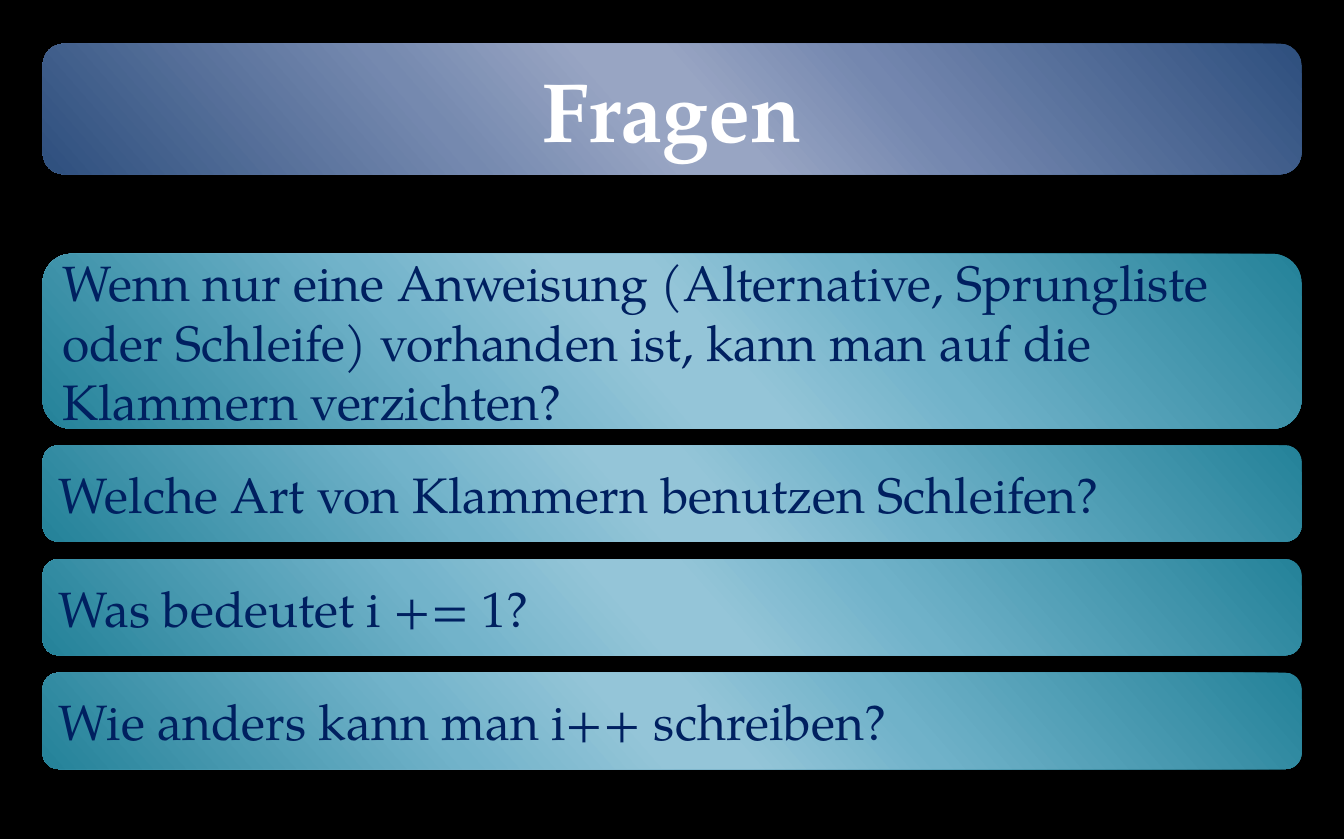
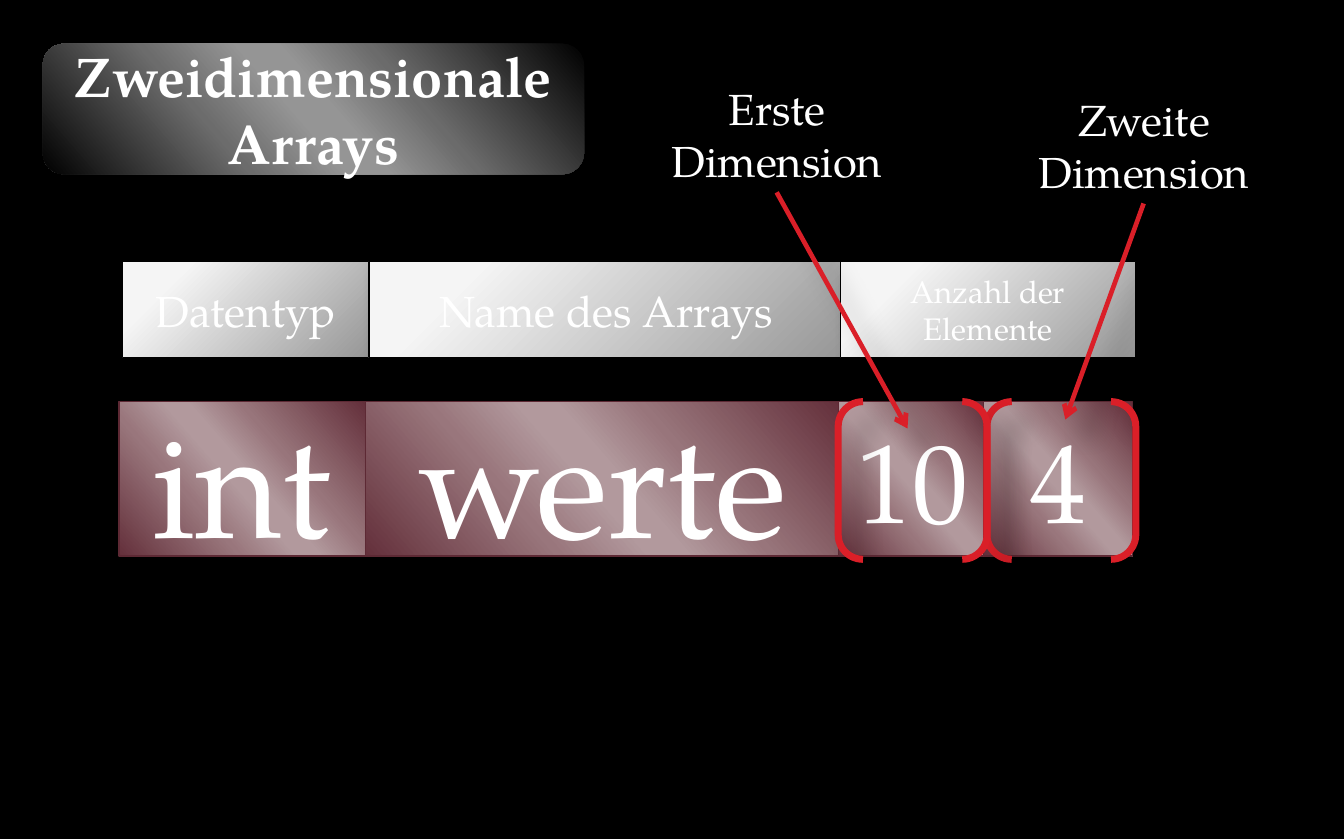
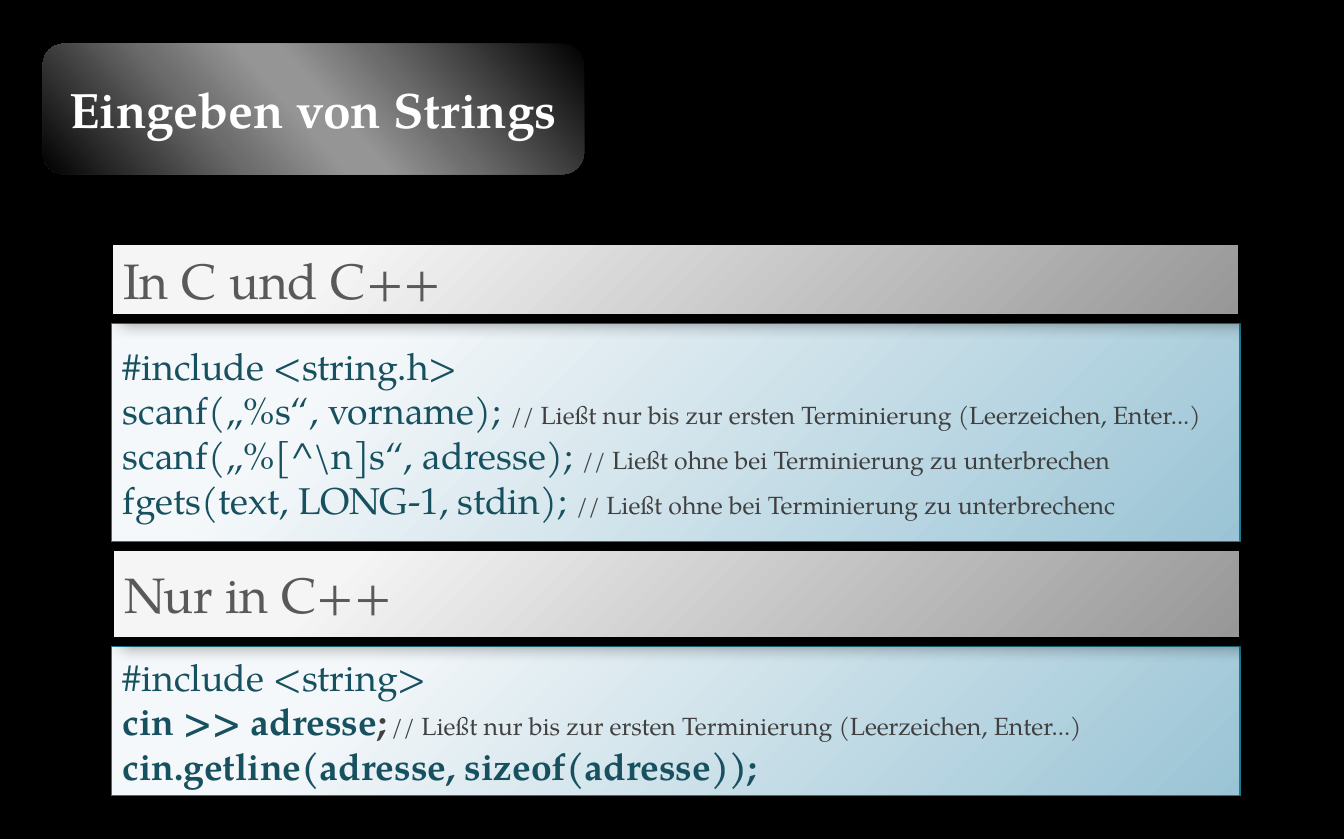
from pptx import Presentation
from pptx.dml.color import RGBColor
from pptx.enum.shapes import MSO_CONNECTOR, MSO_SHAPE
from pptx.enum.text import MSO_ANCHOR, PP_ALIGN
from pptx.oxml import parse_xml
from pptx.oxml.ns import nsdecls, qn
from pptx.util import Pt

LEFT, CENTER = PP_ALIGN.LEFT, PP_ALIGN.CENTER
TOP, MIDDLE = MSO_ANCHOR.TOP, MSO_ANCHOR.MIDDLE
RECT, ROUNDED = MSO_SHAPE.RECTANGLE, MSO_SHAPE.ROUNDED_RECTANGLE
BRACKETS = MSO_SHAPE.DOUBLE_BRACKET
STRAIGHT = MSO_CONNECTOR.STRAIGHT

FONT = "TeX Gyre Pagella"
COLORS = {
    "black": "000000",
    "white": "FFFFFF",
    "navy": "002060",
    "red": "DA1F28",
    "wine": "5D2934",
    "teal": "1B7990",
    "code": "175160",
    "comment": "404040",
    "heading": "595959",
}
SHEEN_STOPS = (0, 33, 47, 53, 68, 100)
SHEENS = {
    "blue": ("2E4F7E", "7487AF", "98A5C3", "98A5C3", "7589AF", "2E4F7E"),
    "aqua": ("248299", "70B2C9", "94C5D8", "94C5D8", "72B3CA", "248299"),
    "dark": ("000000", "6B6B6B", "959595", "959595", "6C6C6C", "000000"),
    "plum": ("64303B", "98757B", "B2999D", "B2999D", "99767C", "64303B"),
}
GLOW_STOPS = (20, 100)
GLOWS = {"silver": ("F5F5F5", "979797"), "ice": ("F5F8FA", "9AC4D5")}
DEEP_SHADOW = {"alpha": 26, "blur": 15, "distance": 18}
SOFT_SHADOW = {"alpha": 35, "blur": 10.2, "distance": 8}

MARGIN = 27.4
FULL_WIDTH = 810
SHORT_WIDTH = 348.5


def color(name):
    return RGBColor.from_string(COLORS[name])


def gradient_xml(name):
    if name in SHEENS:
        stops = zip(SHEEN_STOPS, SHEENS[name])
        course = f'<a:lin ang="{139 * 60000}" scaled="1"/>'
    else:
        stops = zip(GLOW_STOPS, GLOWS[name])
        course = ('<a:path path="circle"><a:fillToRect l="-15000" t="-15000" '
                  'r="115000" b="115000"/></a:path>')
    marks = "".join(
        f'<a:gs pos="{place * 1000}"><a:srgbClr val="{value}"/></a:gs>'
        for place, value in stops)
    return (f'<a:gradFill {nsdecls("a")} rotWithShape="1">'
            f'<a:gsLst>{marks}</a:gsLst>{course}</a:gradFill>')


def shadow_xml(alpha, blur, distance):
    return (f'<a:effectLst {nsdecls("a")}><a:outerShdw blurRad="{int(Pt(blur))}" '
            f'dist="{int(Pt(distance))}" dir="{45 * 60000}" algn="tl" rotWithShape="0">'
            f'<a:srgbClr val="{COLORS["black"]}"><a:alpha val="{alpha * 1000}"/>'
            '</a:srgbClr></a:outerShdw></a:effectLst>')


def write(box, text, size=28, ink="white", bold=False, align=CENTER, anchor=MIDDLE):
    frame = box.text_frame
    frame.word_wrap = True
    frame.vertical_anchor = anchor
    lines = [[(text, {})]] if isinstance(text, str) else text
    for index, line in enumerate(lines):
        para = frame.add_paragraph() if index else frame.paragraphs[0]
        para.alignment = align
        for words, change in line:
            style = {"size": size, "ink": ink, "bold": bold} | change
            span = para.add_run()
            span.text = words
            span.font.name = FONT
            span.font.size = Pt(style["size"])
            span.font.bold = style["bold"]
            span.font.color.rgb = color(style["ink"])


class Builder:
    def __init__(self):
        self.deck = Presentation()
        self.deck.slide_width = Pt(864.72)
        self.deck.slide_height = Pt(540)
        self.page = None

    def new_page(self):
        self.page = self.deck.slides.add_slide(self.deck.slide_layouts[6])
        fill = self.page.background.fill
        fill.solid()
        fill.fore_color.rgb = color("black")

    def shape(self, kind, left, top, width, height, gradient=None,
              line=None, weight=0.75, shadow=DEEP_SHADOW):
        box = self.page.shapes.add_shape(kind, Pt(left), Pt(top), Pt(width), Pt(height))
        box.fill.background()
        if line:
            box.line.color.rgb = color(line)
            box.line.width = Pt(weight)
        else:
            box.line.fill.background()
        box.shadow.inherit = False
        properties = box._element.spPr
        properties.replace(properties.find(qn("a:effectLst")),
                           parse_xml(shadow_xml(**shadow)))
        if gradient:
            properties.replace(properties.find(qn("a:noFill")),
                               parse_xml(gradient_xml(gradient)))
        return box

    def title(self, text, size, gradient="dark", width=SHORT_WIDTH):
        box = self.shape(ROUNDED, MARGIN, 28.1, width, 84.2, gradient)
        write(box, text, size=size, bold=True)

    def question(self, text, top, height):
        box = self.shape(ROUNDED, MARGIN, top, FULL_WIDTH, height, "aqua")
        write(box, text, size=32, ink="navy", align=LEFT)

    def caption_cell(self, text, left, width, size):
        box = self.shape(RECT, left, 168.5, width, 61.9, "silver", "black",
                         shadow=SOFT_SHADOW)
        write(box, text, size=size)

    def value_cell(self, text, left, width, size):
        box = self.shape(RECT, left, 258.5, width, 99.4, "plum", "wine")
        write(box, text, size=size)

    def brackets(self, left):
        self.shape(BRACKETS, left, 258.5, 95.8, 101.5, line="red", weight=4.5)

    def label(self, text, left, top):
        box = self.page.shapes.add_textbox(Pt(left), Pt(top), Pt(202.3), Pt(75))
        write(box, text, anchor=TOP)

    def arrow(self, *ends):
        arrow = self.page.shapes.add_connector(STRAIGHT, *map(Pt, ends))
        arrow.line.color.rgb = color("red")
        arrow.line.width = Pt(3)
        arrow.line._get_or_add_ln().append(
            parse_xml(f'<a:tailEnd {nsdecls("a")} type="arrow"/>'))
        arrow._element.spPr.append(parse_xml(shadow_xml(**DEEP_SHADOW)))

    def code(self, lines, top, height):
        box = self.shape(RECT, 72, top, 725.8, height, "ice", "teal",
                         shadow=SOFT_SHADOW)
        write(box, lines, size=24, ink="code", align=LEFT)

    def heading(self, text, left, top, height):
        box = self.shape(RECT, left, top, 725, height, "silver", "black",
                         shadow=SOFT_SHADOW)
        write(box, text, size=32, ink="heading", align=LEFT)


def questions(show):
    show.new_page()
    show.title("Fragen", 54, "blue", FULL_WIDTH)
    show.question("Wenn nur eine Anweisung (Alternative, Sprungliste oder Schleife) "
                  "vorhanden ist, kann man auf die Klammern verzichten?", 163.4, 112.6)
    short_questions = ("Welche Art von Klammern benutzen Schleifen?",
                       "Was bedeutet i += 1?",
                       "Wie anders kann man i++ schreiben?")
    for row, text in enumerate(short_questions):
        show.question(text, 286.6 + row * 73.2, 62)


def arrays(show):
    show.new_page()
    show.title("Zweidimensionale Arrays", 36)
    for cell in (("Datentyp", 78.8, 158.4, 28),
                 ("Name des Arrays", 237.4, 305.3, 28),
                 ("Anzahl der Elemente", 541, 189.4, 20)):
        show.caption_cell(*cell)
    for cell in (("int", 76.6, 158.4, 96),
                 ("werte", 235.2, 305.3, 96),
                 ("10", 539.3, 95.8, 72),
                 ("4", 632.9, 95.8, 72)):
        show.value_cell(*cell)
    show.arrow(499.7, 123.8, 583.9, 275.8)
    show.arrow(735.8, 131, 685.4, 270)
    show.label("Erste Dimension", 398.6, 49)
    show.label("Zweite Dimension", 634.8, 56.5)
    for left in (635, 539.3):
        show.brackets(left)


def strings(show):
    comment = {"size": 16, "ink": "comment"}
    bold = {"bold": True}
    until_end = "// Ließt nur bis zur ersten Terminierung (Leerzeichen, Enter...)"
    unbroken = "// Ließt ohne bei Terminierung zu unterbrechen"
    show.new_page()
    show.code([
        [("#include <string.h>", {})],
        [("scanf(„%s“, vorname); ", {}), (until_end, comment)],
        [("scanf(„%[^\\n]s“, adresse); ", {}), (unbroken, comment)],
        [("fgets(text, LONG-1, stdin); ", {}), (unbroken + "c", comment)],
    ], 208.1, 140.4)
    show.title("Eingeben von Strings", 32)
    show.code([
        [("#include <string>", {})],
        [("cin >> adresse", bold), (";", bold | {"ink": "comment"}),
         (" ", {"size": 12}), (until_end, comment)],
        [("cin.getline(adresse, sizeof(adresse));", bold)],
    ], 416.2, 95.8)
    show.heading("In C und C++", 72.2, 157.4, 45.2)
    show.heading("Nur in C++", 72.8, 354.3, 56)


show = Builder()
for build in (questions, arrays, strings):
    build(show)
show.deck.save("out.pptx")
